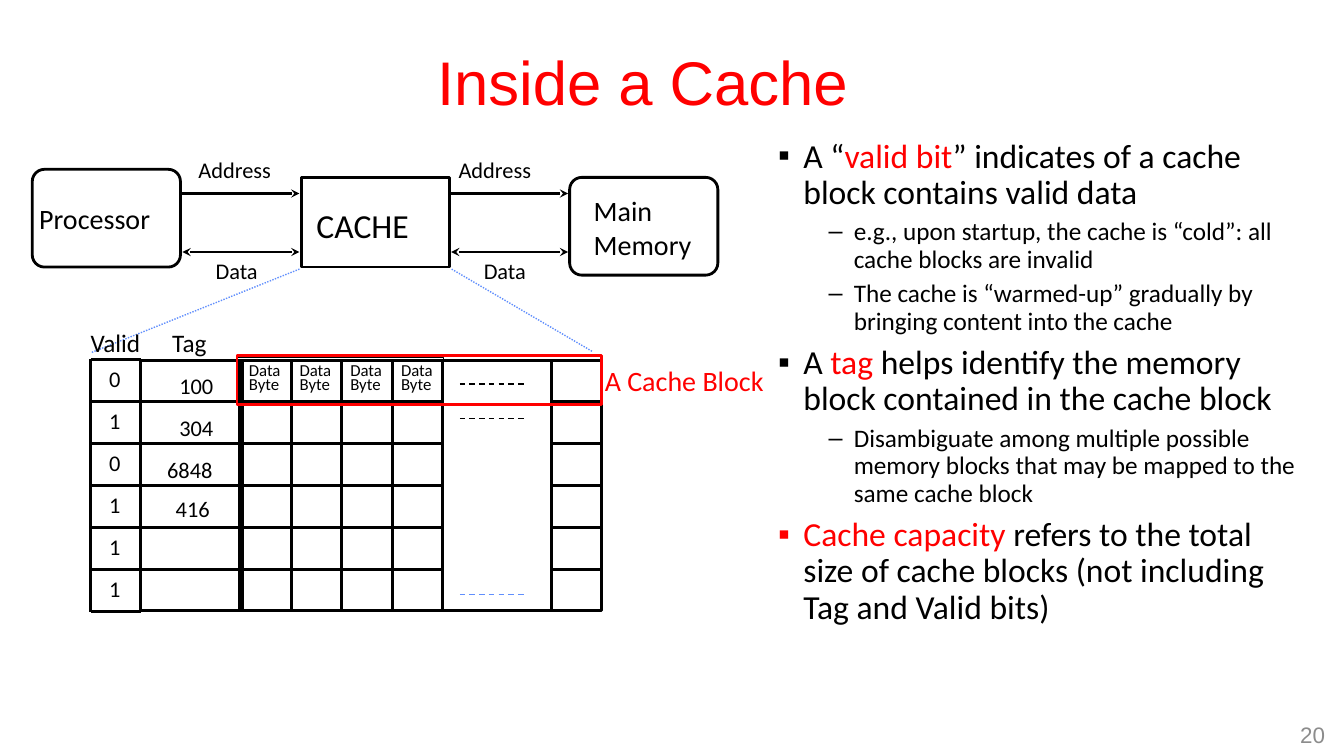
from lxml import etree
from pptx import Presentation
from pptx.dml.color import RGBColor
from pptx.enum.dml import MSO_LINE
from pptx.enum.shapes import MSO_CONNECTOR, MSO_SHAPE
from pptx.enum.text import MSO_ANCHOR, MSO_AUTO_SIZE, PP_ALIGN
from pptx.oxml.ns import qn
from pptx.util import Inches, Pt

RECTANGLE = MSO_SHAPE.RECTANGLE
ROUNDED = MSO_SHAPE.ROUNDED_RECTANGLE
STRAIGHT = MSO_CONNECTOR.STRAIGHT
DASH = MSO_LINE.DASH
DOTS = MSO_LINE.ROUND_DOT
MIDDLE = MSO_ANCHOR.MIDDLE
CENTER, RIGHT = PP_ALIGN.CENTER, PP_ALIGN.RIGHT
FIT_SHAPE = MSO_AUTO_SIZE.SHAPE_TO_FIT_TEXT

GRID_UNIT = 0.1
BLACK, RED, BLUE, WHITE, GRAY = "000000", "FF0000", "618FFD", "FFFFFF", "8C8C8C"

VALID_LEFT, TAG_LEFT, DATA_LEFT, DATA_STEP = 9, 13.95, 23.9, 5
LAST_LEFT, TABLE_RIGHT = 54.7, 59.7
TABLE_TOP, ROW_STEP, ROW_COUNT = 35.65, 4.17, 6
TABLE_BOTTOM = TABLE_TOP + ROW_COUNT * ROW_STEP
DATA_RIGHT = DATA_LEFT + 4 * DATA_STEP

VALID_BITS = ["0", "1", "0", "1", "1", "1"]
TAGS = [("100", 16.8, 36.4), ("304", 16.8, 40.6), ("6848", 15.6, 44.8), ("416", 16.45, 48.6)]

BULLETS = [
    (0, [("A “", BLACK), ("valid bit", RED), ("” indicates of a cache block contains valid data", BLACK)]),
    (1, [("e.g., upon startup, the cache is “cold”: all cache blocks are invalid", BLACK)]),
    (1, [("The cache is “warmed-up” gradually by bringing content into the cache", BLACK)]),
    (0, [("A ", BLACK), ("tag ", RED), ("helps identify the memory block contained in the cache block", BLACK)]),
    (1, [("Disambiguate among multiple possible memory blocks that may be mapped to the same cache block", BLACK)]),
    (0, [("Cache capacity", RED), (" refers to the total size of cache blocks (not including Tag and Valid bits)", BLACK)]),
]
BULLET_LEVELS = [
    {"mark": "▪", "size": 24, "indent": 2.5, "before": 7.2},
    {"mark": "–", "size": 18, "indent": 7.5, "before": 5.4},
]


def grid(*values):
    return [Inches(value * GRID_UNIT) for value in values]


def color(value):
    return RGBColor.from_string(value)


def set_format(target, values):
    for name, value in values.items():
        setattr(target, name, value)


def set_font(font, size, font_color, name="Calibri"):
    set_format(font, {"name": name, "size": Pt(size)})
    font.color.rgb = color(font_color)


def add_text(slide, place, lines, size, font_color=BLACK, font_name="Calibri",
             frame_format=None, paragraph_format=None):
    frame = slide.shapes.add_textbox(*grid(*place)).text_frame
    set_format(frame, frame_format or {"word_wrap": False, "auto_size": FIT_SHAPE})
    for index, line in enumerate(lines):
        paragraph = frame.add_paragraph() if index else frame.paragraphs[0]
        set_format(paragraph, paragraph_format or {})
        run = paragraph.add_run()
        run.text = line
        set_font(run.font, size, font_color, font_name)


def add_box(slide, place, kind=RECTANGLE, fill=None, line_color=BLACK, width=2):
    shape = slide.shapes.add_shape(kind, *grid(*place))
    shape.shadow.inherit = False
    if kind == ROUNDED:
        shape.adjustments[0] = 0.125
    if fill:
        shape.fill.solid()
        shape.fill.fore_color.rgb = color(fill)
    else:
        shape.fill.background()
    shape.line.color.rgb = color(line_color)
    shape.line.width = Pt(width)


def add_line(slide, start, end, line_color=BLACK, width=2, dash=None, heads=()):
    connector = slide.shapes.add_connector(STRAIGHT, *grid(*start, *end))
    set_format(connector.line, {"width": Pt(width), "dash_style": dash})
    connector.line.color.rgb = color(line_color)
    outline = connector.line._get_or_add_ln()
    for head in heads:
        etree.SubElement(outline, qn(f"a:{head}"), type="stealth")
    etree.SubElement(connector._element.spPr, qn("a:effectLst"))


def add_bullets(slide, place):
    frame = slide.shapes.add_textbox(*grid(*place)).text_frame
    frame.word_wrap = True
    for index, (level, runs) in enumerate(BULLETS):
        style = BULLET_LEVELS[level]
        paragraph = frame.add_paragraph() if index else frame.paragraphs[0]
        set_format(paragraph, {"level": level, "line_spacing": 0.9,
                               "space_before": Pt(style["before"] if index else 0)})
        properties = paragraph._p.get_or_add_pPr()
        margin, hanging = grid(style["indent"], -2.5)
        properties.set("marL", str(margin))
        properties.set("indent", str(hanging))
        etree.SubElement(properties, qn("a:buFont"), typeface="Arial")
        etree.SubElement(properties, qn("a:buChar"), char=style["mark"])
        for text, run_color in runs:
            run = paragraph.add_run()
            run.text = text
            set_font(run.font, style["size"], run_color)


def add_cache_table(slide):
    add_box(slide, (TAG_LEFT, TABLE_TOP + 0.1, TABLE_RIGHT - TAG_LEFT, TABLE_BOTTOM - TABLE_TOP - 0.2))
    for row in range(ROW_COUNT + 1):
        y = TABLE_TOP + row * ROW_STEP
        inner = 0 < row < ROW_COUNT
        add_line(slide, (VALID_LEFT, y), (DATA_RIGHT if inner else TAG_LEFT, y))
        if inner:
            add_line(slide, (LAST_LEFT, y), (TABLE_RIGHT, y))
    data_columns = [DATA_LEFT + index * DATA_STEP for index in range(5)]
    for x in [VALID_LEFT, *data_columns, LAST_LEFT]:
        add_line(slide, (x, TABLE_TOP), (x, TABLE_BOTTOM), width=4 if x == DATA_LEFT else 2)
    for y, line_color in [(38.1, BLACK), (41.5, BLACK), (59, BLUE)]:
        add_line(slide, (45.6, y), (52.2, y), line_color, 1, DASH)
    add_box(slide, (23.5, 35.5, 20.5, 4.4), width=0.75)
    add_box(slide, (23.5, 35.3, 36.2, 4.8), line_color=RED)


def add_table_text(slide):
    for text, left, width in [("Tag", 16.1, 5.5), ("Valid", 8, 7)]:
        add_text(slide, (left, 32, width, 4), [text], 18)
    for row, bit in enumerate(VALID_BITS):
        add_text(slide, (9.85, TABLE_TOP + 0.05 + row * ROW_STEP, 3.2, 3.7), [bit], 16)
    for tag, left, top in TAGS:
        add_text(slide, (left, top, 6.6 if len(tag) > 3 else 5.4, 3.7), [tag], 16)
    for index in range(4):
        add_text(slide, (23.7 + index * 5.03, 35.75, 5.3, 3.9), ["Data", "Byte"], 12,
                 paragraph_format={"line_spacing": 0.7})
    add_text(slide, (59, 35.6, 18, 4.4), ["A Cache Block"], 20, RED)


def add_memory_path(slide):
    for place, kind in [((56.5, 17.6, 14.7, 9.7), ROUNDED), ((3.2, 16.8, 14.7, 9.7), ROUNDED),
                        ((29.9, 17.6, 14.7, 8.9), RECTANGLE)]:
        add_box(slide, place, kind, WHITE)
    add_text(slide, (30.4, 19.8, 11.3, 5.1), ["CACHE"], 24)
    add_text(slide, (2.9, 19.5, 13.8, 4.4), ["Processor"], 20)
    add_text(slide, (57.9, 18.7, 12.4, 7.7), ["Main", "Memory"], 20)
    for start, address_left, data_left in [(18.1, 18.7, 20.4), (44.75, 44.5, 47)]:
        add_line(slide, (start, 19.2), (start + 11.6, 19.2), heads=["tailEnd"])
        add_line(slide, (start, 25), (start + 11.6, 25), heads=["headEnd", "tailEnd"])
        add_text(slide, (address_left, 15, 9.3, 3.7), ["Address"], 16)
        add_text(slide, (data_left, 25, 6.3, 3.7), ["Data"], 16)


def main():
    presentation = Presentation()
    set_format(presentation, {"slide_width": Inches(13.33), "slide_height": Inches(7.5)})
    slide = presentation.slides.add_slide(presentation.slide_layouts[6])
    add_text(slide, (10.6, 4.4, 106.3, 8.1), ["Inside a Cache"], 44, RED, "Arial",
             {"word_wrap": True, "vertical_anchor": MIDDLE},
             {"alignment": CENTER, "line_spacing": 0.9})
    add_cache_table(slide)
    for start, end in [((29.7, 26.7), (9, 35)), ((44.8, 26.7), (58.8, 34.9))]:
        add_line(slide, start, end, BLUE, 1, DOTS)
    add_table_text(slide)
    add_bullets(slide, (76.2, 13.3, 54.6, 53.7))
    add_text(slide, (125.7, 70.8, 6.7, 4.2), ["20"], 16, GRAY, "Arial",
             {"word_wrap": True, "vertical_anchor": MIDDLE}, {"alignment": RIGHT})
    add_memory_path(slide)
    presentation.save("out.pptx")


if __name__ == "__main__":
    main()
